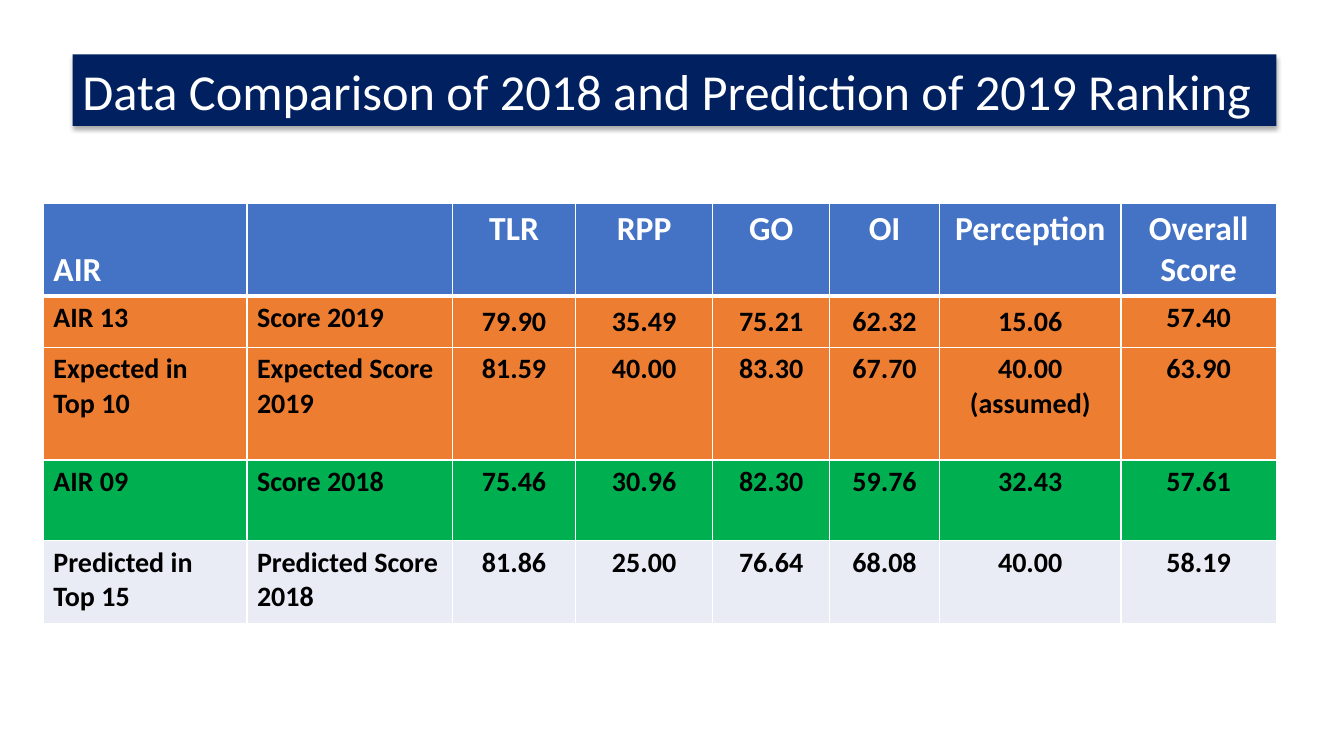
from lxml.etree import SubElement
from pptx import Presentation
from pptx.dml.color import RGBColor as RGB
from pptx.enum.shapes import MSO_SHAPE as SHAPE
from pptx.enum.text import MSO_ANCHOR as ANCHOR, PP_ALIGN as ALIGN
from pptx.oxml import parse_xml
from pptx.oxml.ns import nsdecls, qn
from pptx.util import Inches, Pt

COLORS = {
    "white": "FFFFFF", "black": "000000", "navy": "002060", "blue": "4472C4",
    "orange": "ED7D31", "green": "00B050", "pale": "E9EBF5",
}
COL_WIDTHS = [2.02, 2.04, 1.22, 1.36, 1.16, 1.09, 1.8, 1.54]
HEADER = ["AIR", "", "TLR", "RPP", "GO", "OI", "Perception", "Overall Score"]
ROWS = [
    ("blue", 0.9, HEADER),
    ("orange", 0.51, ["AIR 13", "Score 2019", "79.90", "35.49", "75.21",
                      "62.32", "15.06", "57.40"]),
    ("orange", 1.12, ["Expected in\nTop 10", "Expected Score 2019", "81.59",
                      "40.00", "83.30", "67.70", "40.00\n(assumed)", "63.90"]),
    ("green", 0.8, ["AIR 09", "Score 2018", "75.46", "30.96", "82.30",
                    "59.76", "32.43", "57.61"]),
    ("pale", 0.82, ["Predicted in\nTop 15", "Predicted Score 2018", "81.86",
                    "25.00", "76.64", "68.08", "40.00", "58.19"]),
]


class SlideBuilder:
    """Draws styled elements on the current slide."""

    def __init__(self, slide, font="Calibri"):
        self.s = slide
        self.font = font

    def color(self, name):
        return RGB.from_string(COLORS[name])

    def text(self, tf, text, color, size, bold=False, align=ALIGN.LEFT):
        tf.text = text
        style = {"name": self.font, "size": Pt(size), "bold": bold}
        for p in tf.paragraphs:
            p.alignment = align
            p.font.size = Pt(size)
            for r in p.runs:
                for key, value in style.items():
                    setattr(r.font, key, value)
                r.font.color.rgb = self.color(color)

    def shadow(self, sp):
        sp.shadow.inherit = False
        effects = sp._element.spPr.find(qn("a:effectLst"))
        outer = SubElement(effects, qn("a:outerShdw"), blurRad=str(Pt(3.5)),
                           dist=str(Pt(2.2)), dir="5400000", rotWithShape="0")
        clr = SubElement(outer, qn("a:srgbClr"), val=COLORS["black"])
        SubElement(clr, qn("a:alpha"), val="32000")

    def banner(self, text, left, top, width, height):
        sp = self.s.shapes.add_shape(SHAPE.RECTANGLE, Inches(left), Inches(top),
                                     Inches(width), Inches(height))
        sp.fill.solid()
        sp.fill.fore_color.rgb = self.color("navy")
        sp.line.fill.background()
        self.shadow(sp)
        sp.text_frame.word_wrap = True
        self.text(sp.text_frame, text, "white", 36)

    def borders(self, cell, widths):
        tc_pr = cell._tc.get_or_add_tcPr()
        for i, (side, width) in enumerate(widths.items()):
            tc_pr.insert(i, parse_xml(
                f'<a:ln{side} {nsdecls("a")} w="{Pt(width)}"><a:solidFill>'
                f'<a:srgbClr val="{COLORS["white"]}"/></a:solidFill></a:ln{side}>'))

    def table(self, rows, col_widths, left, top):
        height = sum(h for _, h, _ in rows)
        table = self.s.shapes.add_table(
            len(rows), len(col_widths), Inches(left), Inches(top),
            Inches(sum(col_widths)), Inches(height)).table
        table.horz_banding = False
        for col, width in zip(table.columns, col_widths):
            col.width = Inches(width)
        for i, (fill, row_height, texts) in enumerate(rows):
            table.rows[i].height = Inches(row_height)
            color, size = ("black", 20) if i else ("white", 24)
            for j, text in enumerate(texts):
                cell = table.cell(i, j)
                cell.fill.solid()
                cell.fill.fore_color.rgb = self.color(fill)
                self.borders(cell, {"L": 1, "R": 1, "T": 3 if i == 1 else 1,
                                    "B": 1 if i else 3})
                self.text(cell.text_frame, text, color, size, True,
                          ALIGN.CENTER if j > 1 else ALIGN.LEFT)
        table.cell(0, 0).vertical_anchor = ANCHOR.BOTTOM
        for j in range(2, 7):
            cell = table.cell(1, j)
            cell.vertical_anchor = ANCHOR.MIDDLE
            cell.margin_top = cell.margin_bottom = Inches(0.08)


def main():
    prs = Presentation()
    prs.slide_width, prs.slide_height = Inches(13.33), Inches(7.5)
    b = SlideBuilder(prs.slides.add_slide(prs.slide_layouts[6]))
    b.table(ROWS, COL_WIDTHS, 0.43, 2.02)
    b.banner("Data Comparison of 2018 and Prediction of 2019 Ranking",
             0.72, 0.54, 11.94, 0.71)
    prs.save("out.pptx")


if __name__ == "__main__":
    main()
